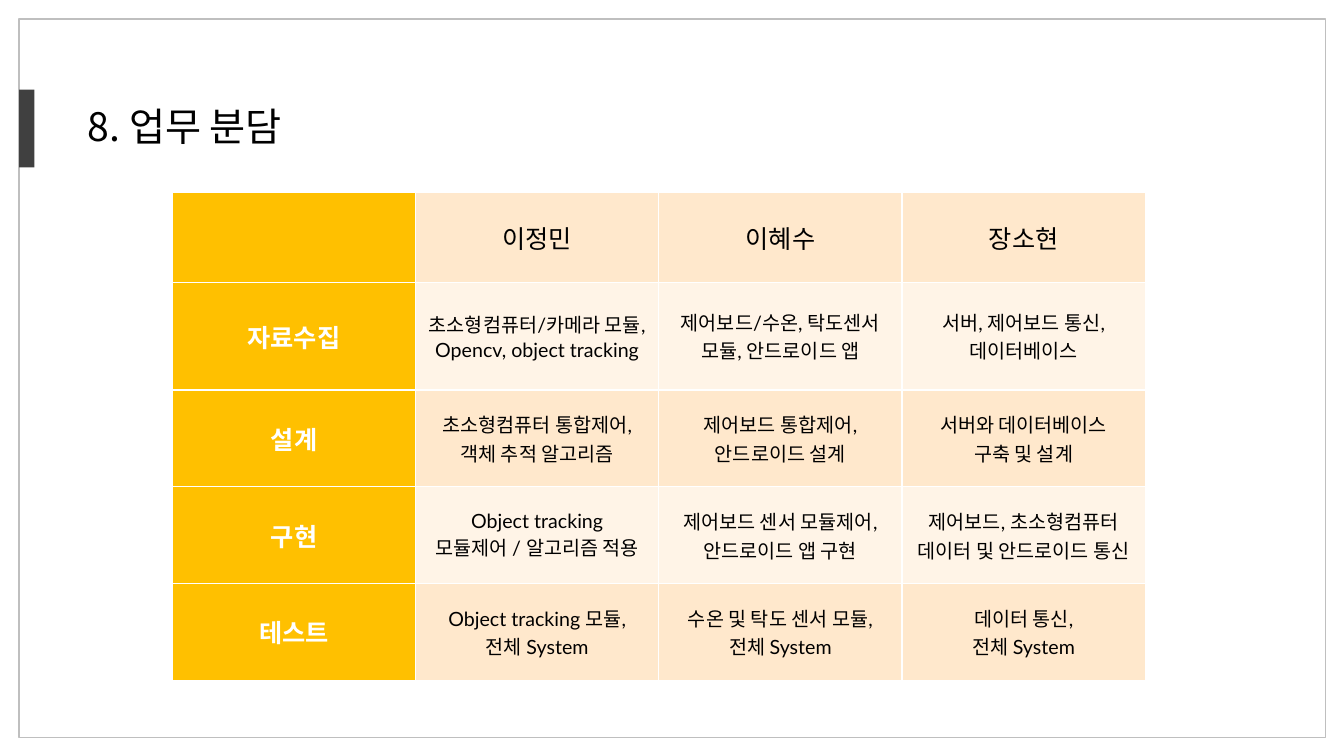
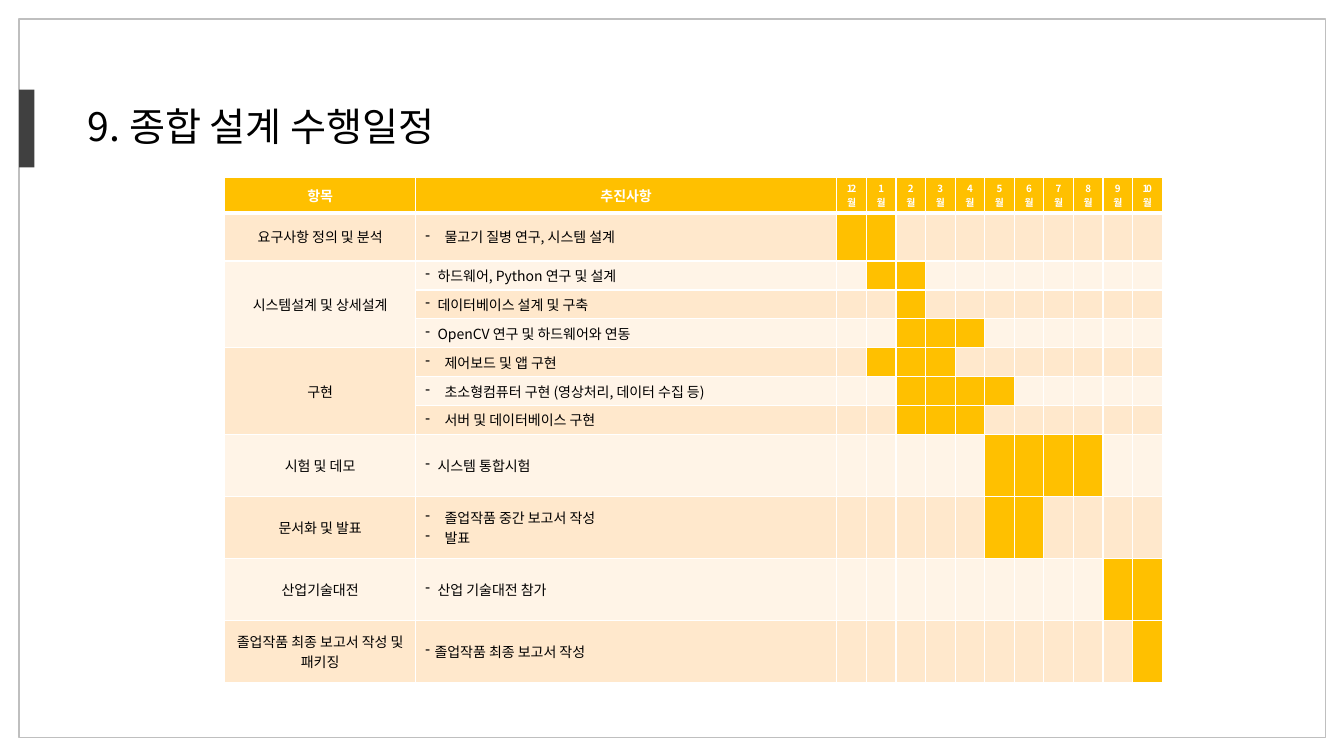
from dataclasses import dataclass
from typing import Optional

import pptx
import pptx.dml.color
import pptx.enum.shapes
import pptx.enum.text
import pptx.oxml
import pptx.oxml.ns
import pptx.util
from lxml import etree

Inches = pptx.util.Inches
Pt = pptx.util.Pt
ALIGN = pptx.enum.text.PP_ALIGN
MIDDLE = pptx.enum.text.MSO_ANCHOR.MIDDLE
qn = pptx.oxml.ns.qn

COLORS = {
    "frame": "BFBFBF",
    "accent": "404040",
    "text": "000000",
    "white": "FFFFFF",
    "amber": "FFC000",
    "dark_band": "FFE8CC",
    "light_band": "FFF4E7",
}
KOREAN = "Noto Sans CJK KR"
LATIN = "Lato"


@dataclass(frozen=True)
class Duty:
    stage: str
    height: float
    shares: tuple[str, ...]


@dataclass(frozen=True)
class Task:
    """One schedule row; months count from December, an empty stage joins the one above."""
    stage: str
    work: str
    height: float
    first_month: int
    month_count: int
    hang: float = 0.19


MEMBERS = ("이정민", "이혜수", "장소현")
DUTIES = (
    Duty("자료수집", 1.07, ("초소형컴퓨터/카메라 모듈,\nOpencv, object tracking",
                        "제어보드/수온, 탁도센서 모듈, 안드로이드 앱",
                        "서버, 제어보드 통신,\n데이터베이스")),
    Duty("설계", 0.96, ("초소형컴퓨터 통합제어,\n객체 추적 알고리즘",
                      "제어보드 통합제어,\n안드로이드 설계",
                      "서버와 데이터베이스\n구축 및 설계")),
    Duty("구현", 0.96, ("Object tracking\n모듈제어 / 알고리즘 적용",
                      "제어보드 센서 모듈제어,\n안드로이드 앱 구현",
                      "제어보드, 초소형컴퓨터 데이터 및 안드로이드 통신")),
    Duty("테스트", 0.96, ("Object tracking 모듈,\n전체 System",
                       "수온 및 탁도 센서 모듈,\n전체 System",
                       "데이터 통신,\n전체 System")),
)

MONTHS = tuple(f"{month}월" for month in (12, *range(1, 11)))
SHORT = 0.86 / 3
TALL = 2.46 / 4
TASKS = (
    Task("요구사항 정의 및 분석", "물고기 질병 연구, 시스템 설계", 0.48, 0, 2),
    Task("시스템설계 및 상세설계", "하드웨어, Python 연구 및 설계", SHORT, 1, 2, 0.12),
    Task("", "데이터베이스 설계 및 구축", SHORT, 2, 1, 0.12),
    Task("", "OpenCV 연구 및 하드웨어와 연동", SHORT, 2, 3, 0.12),
    Task("구현", "제어보드 및 앱 구현", SHORT, 1, 3),
    Task("", "초소형컴퓨터 구현 (영상처리, 데이터 수집 등)", SHORT, 2, 4),
    Task("", "서버 및 데이터베이스 구현", SHORT, 2, 3),
    Task("시험 및 데모", "시스템 통합시험", TALL, 5, 4, 0.12),
    Task("문서화 및 발표", "졸업작품 중간 보고서 작성\n발표", TALL, 5, 2),
    Task("산업기술대전", "산업 기술대전 참가", TALL, 9, 2, 0.12),
    Task("졸업작품 최종 보고서 작성 및 패키징", "졸업작품 최종 보고서 작성", TALL, 10, 1, 0.09),
)


def rgb(name: str) -> pptx.dml.color.RGBColor:
    return pptx.dml.color.RGBColor.from_string(COLORS[name])


def write(frame, text: str, *, size: float, color: str = "text", bold: bool = False,
          align=ALIGN.CENTER, latin: str = KOREAN, tracking: float = 0,
          hang: Optional[float] = None) -> None:
    """Fill a text frame, one paragraph a line; hang gives dash bullets that indent."""
    for index, line in enumerate(text.split("\n")):
        paragraph = frame.paragraphs[0] if index == 0 else frame.add_paragraph()
        paragraph.alignment = align
        if hang is not None:
            properties = paragraph._p.get_or_add_pPr()
            properties.set("marL", str(Inches(hang)))
            properties.set("indent", str(-Inches(hang)))
            etree.SubElement(properties, qn("a:buChar")).set("char", "-")
        if not line:
            end = etree.SubElement(paragraph._p, qn("a:endParaRPr"))
            end.set("sz", str(int(size * 100)))
            continue
        run = paragraph.add_run()
        run.text = line
        run.font.size = Pt(size)
        run.font.bold = bold
        run.font.color.rgb = rgb(color)
        run.font.name = latin
        letters = run._r.get_or_add_rPr()
        etree.SubElement(letters, qn("a:ea")).set("typeface", KOREAN)
        if tracking:
            letters.set("spc", str(int(tracking * 100)))


def add_box(slide, left: float, top: float, width: float, height: float, *,
            fill: Optional[str] = None, line: Optional[str] = None) -> None:
    box = slide.shapes.add_shape(pptx.enum.shapes.MSO_SHAPE.RECTANGLE,
                                 Inches(left), Inches(top), Inches(width), Inches(height))
    box.shadow.inherit = False
    if fill:
        box.fill.solid()
        box.fill.fore_color.rgb = rgb(fill)
    else:
        box.fill.background()
    if line:
        box.line.color.rgb = rgb(line)
        box.line.width = Pt(1)
    else:
        box.line.fill.background()


def start_slide(deck, heading: str):
    """Add a slide with the page frame, the side bar and the title."""
    slide = deck.slides.add_slide(deck.slide_layouts[5])
    add_box(slide, 0.19, 0.19, 12.96, 7.13, line="frame")
    add_box(slide, 0.19, 0.89, 0.15, 0.77, fill="accent")
    title = slide.shapes.title
    title.left, title.top = Inches(0.77), Inches(0.96)
    title.width, title.height = Inches(4.51), Inches(0.57)
    title.text_frame.auto_size = pptx.enum.text.MSO_AUTO_SIZE.NONE
    title.text_frame.vertical_anchor = MIDDLE
    write(title.text_frame, heading, size=28, align=ALIGN.LEFT)
    return slide


def start_table(slide, left: float, top: float, widths: list[float], heights: list[float]):
    table = slide.shapes.add_table(len(heights), len(widths), Inches(left), Inches(top),
                                   Inches(sum(widths)), Inches(sum(heights))).table
    table.first_row = table.horz_banding = False
    for column, width in zip(table.columns, widths):
        column.width = Inches(width)
    for row, height in zip(table.rows, heights):
        row.height = Inches(height)
    return table


def fill_cell(cell, text: str, fill: str, *, top_line: float = 1, bottom_line: float = 1,
              margin: float = 0.05, **text_format) -> None:
    """Set a cell's borders, fill and text; margin is the one above and below."""
    properties = cell._tc.get_or_add_tcPr()
    for side, width in (("L", 1), ("R", 1), ("T", top_line), ("B", bottom_line)):
        border = etree.SubElement(properties, qn(f"a:ln{side}"), w=str(Pt(width)))
        solid = etree.SubElement(border, qn("a:solidFill"))
        etree.SubElement(solid, qn("a:srgbClr"), val=COLORS["white"])
    cell.fill.solid()
    cell.fill.fore_color.rgb = rgb(fill)
    cell.vertical_anchor = MIDDLE
    cell.margin_top = cell.margin_bottom = Inches(margin)
    write(cell.text_frame, text, **text_format)


def build_duties(deck) -> None:
    slide = start_slide(deck, "8. 업무 분담")
    columns = len(MEMBERS) + 1
    table = start_table(slide, 1.71, 1.91, [9.65 / columns] * columns,
                        [0.89] + [duty.height for duty in DUTIES])
    fill_cell(table.cell(0, 0), "", "amber", size=18)
    for column, member in enumerate(MEMBERS, start=1):
        fill_cell(table.cell(0, column), member, "dark_band", size=18)
    for row, duty in enumerate(DUTIES, start=1):
        band = "light_band" if row % 2 else "dark_band"
        fill_cell(table.cell(row, 0), duty.stage, "amber", size=18, color="white", bold=True)
        for column, share in enumerate(duty.shares, start=1):
            fill_cell(table.cell(row, column), share, band, size=14, latin=LATIN)


def build_schedule(deck) -> None:
    slide = start_slide(deck, "9. 종합 설계 수행일정")
    month_width = 3.23 / len(MONTHS)
    table = start_table(slide, 2.23, 1.76, [1.89, 4.18] + [month_width] * len(MONTHS),
                        [0.35] + [task.height for task in TASKS])
    for column, heading in enumerate(("항목", "추진사항", *MONTHS)):
        is_month = column >= 2
        fill_cell(table.cell(0, column), heading, "amber", bottom_line=3, margin=0.03,
                  size=7 if is_month else 10, tracking=-1.5 if is_month else 0,
                  color="white", bold=True)

    stage_row = 1
    for row, task in enumerate(TASKS, start=1):
        band = "dark_band" if row % 2 else "light_band"
        common = {"size": 10, "margin": 0.03, "top_line": 3 if row == 1 else 1}
        fill_cell(table.cell(row, 0), task.stage, band, **common)
        fill_cell(table.cell(row, 1), task.work, band, align=ALIGN.LEFT,
                  hang=task.hang, **common)
        active = range(task.first_month, task.first_month + task.month_count)
        for month in range(len(MONTHS)):
            fill_cell(table.cell(row, month + 2), "",
                      "amber" if month in active else band, **common)
        if task.stage:
            stage_row = row
        last_of_stage = row == len(TASKS) or TASKS[row].stage
        if last_of_stage and row > stage_row:
            table.cell(stage_row, 0).merge(table.cell(row, 0))


def main() -> None:
    deck = pptx.Presentation()
    deck.slide_width, deck.slide_height = Inches(13.33), Inches(7.5)
    build_duties(deck)
    build_schedule(deck)
    deck.save("out.pptx")


if __name__ == "__main__":
    main()
